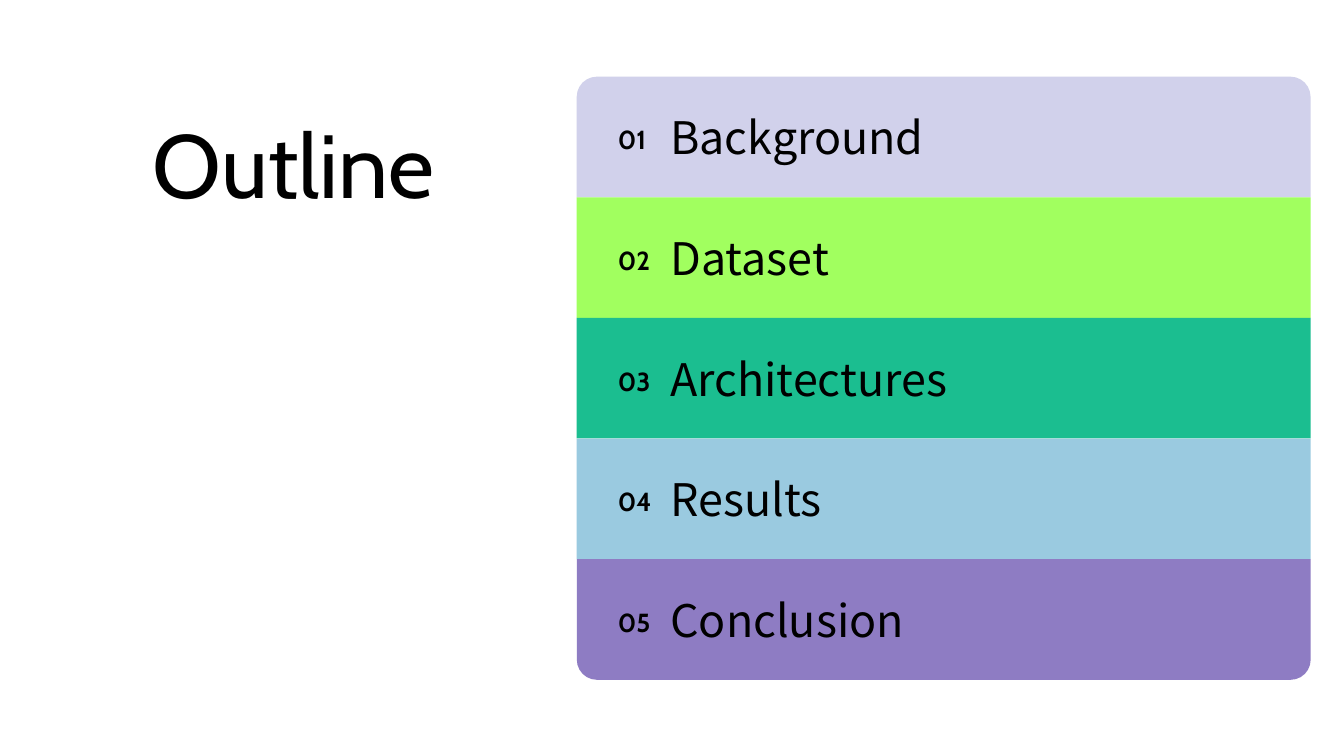
import pptx
import pptx.util
import pptx.dml.color
import pptx.enum.shapes
import pptx.enum.text

Cm = pptx.util.Cm
RGBColor = pptx.dml.color.RGBColor
Shape = pptx.enum.shapes.MSO_SHAPE
Anchor = pptx.enum.text.MSO_ANCHOR

BLACK = RGBColor(0x00, 0x00, 0x00)
LAVENDER = RGBColor(0xD1, 0xD1, 0xEB)
LIME = RGBColor(0xA1, 0xFF, 0x5F)
GREEN = RGBColor(0x1B, 0xBE, 0x90)
BLUE = RGBColor(0x9A, 0xCA, 0xE0)
PURPLE = RGBColor(0x8E, 0x7C, 0xC3)

HEADING_FONT = "Cabin"
LABEL_FONT = "Noto Sans CJK KR"
INSET = 0.25

SECTIONS = [
    ("Background", LAVENDER),
    ("Dataset", LIME),
    ("Architectures", GREEN),
    ("Results", BLUE),
    ("Conclusion", PURPLE),
]


def write_text(box, text, font_name, size, anchor, spacing=1.0, bold=False):
    frame = box.text_frame
    frame.word_wrap = True
    frame.auto_size = pptx.enum.text.MSO_AUTO_SIZE.NONE
    frame.vertical_anchor = anchor
    frame.margin_left = frame.margin_right = Cm(INSET)
    frame.margin_top = frame.margin_bottom = Cm(INSET)
    para = frame.paragraphs[0]
    para.alignment = pptx.enum.text.PP_ALIGN.LEFT
    para.line_spacing = spacing
    span = para.add_run()
    span.text = text
    span.font.name = font_name
    span.font.size = pptx.util.Pt(size)
    span.font.bold = bold
    span.font.color.rgb = BLACK


def place_title(page, left, top, width, height):
    title = page.shapes.title
    title.left, title.top = Cm(left), Cm(top)
    title.width, title.height = Cm(width), Cm(height)
    write_text(title, "Outline", HEADING_FONT, 48, Anchor.TOP, spacing=0.8)


def place_band(page, color, kind, left, top, width, height):
    band = page.shapes.add_shape(kind, Cm(left), Cm(top), Cm(width), Cm(height))
    band.shadow.inherit = False
    band.fill.solid()
    band.fill.fore_color.rgb = color
    band.line.fill.background()
    return band


def place_sections(page, left, top, width, height):
    row_height = height / len(SECTIONS)
    last = len(SECTIONS) - 1
    number_left = left + 0.53
    label_left = left + 1.52
    for index, (name, color) in enumerate(SECTIONS):
        row_top = top + index * row_height
        kind = Shape.ROUND_2_SAME_RECTANGLE if index in (0, last) else Shape.RECTANGLE
        band = place_band(page, color, kind, left, row_top, width, row_height)
        if index == last:
            band.rotation = 180

        number = page.shapes.add_textbox(
            Cm(number_left), Cm(row_top), Cm(1.52), Cm(row_height))
        write_text(number, f"{index + 1:02d}", HEADING_FONT, 14, Anchor.MIDDLE,
                   spacing=1.15, bold=True)

        label = page.shapes.add_textbox(
            Cm(label_left), Cm(row_top), Cm(left + width - label_left), Cm(row_height))
        write_text(label, name, LABEL_FONT, 24, Anchor.MIDDLE)


def main():
    deck = pptx.Presentation()
    deck.slide_width = Cm(25.4)
    deck.slide_height = Cm(14.29)
    page = deck.slides.add_slide(deck.slide_layouts[5])
    place_title(page, 2.64, 2.21, 7.92, 7.37)
    place_sections(page, 10.9, 1.45, 13.87, 11.4)
    deck.save("out.pptx")


if __name__ == "__main__":
    main()
